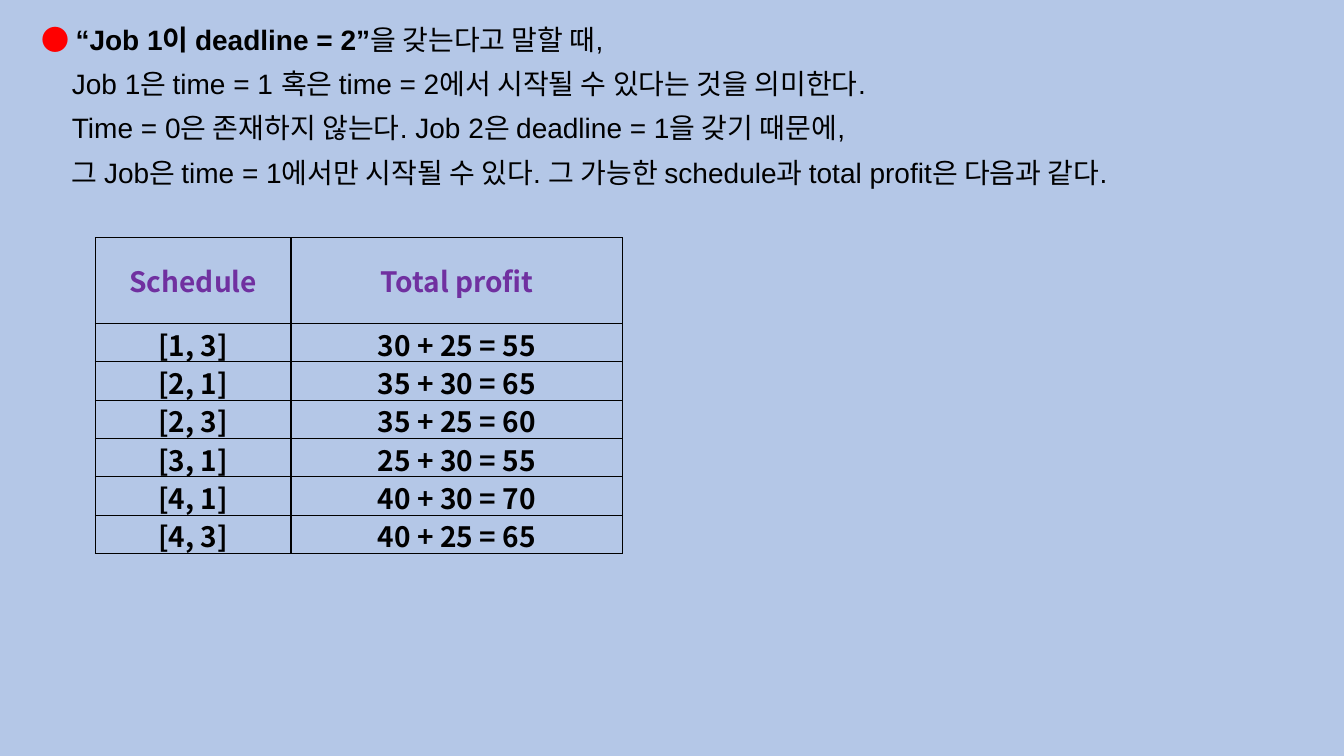
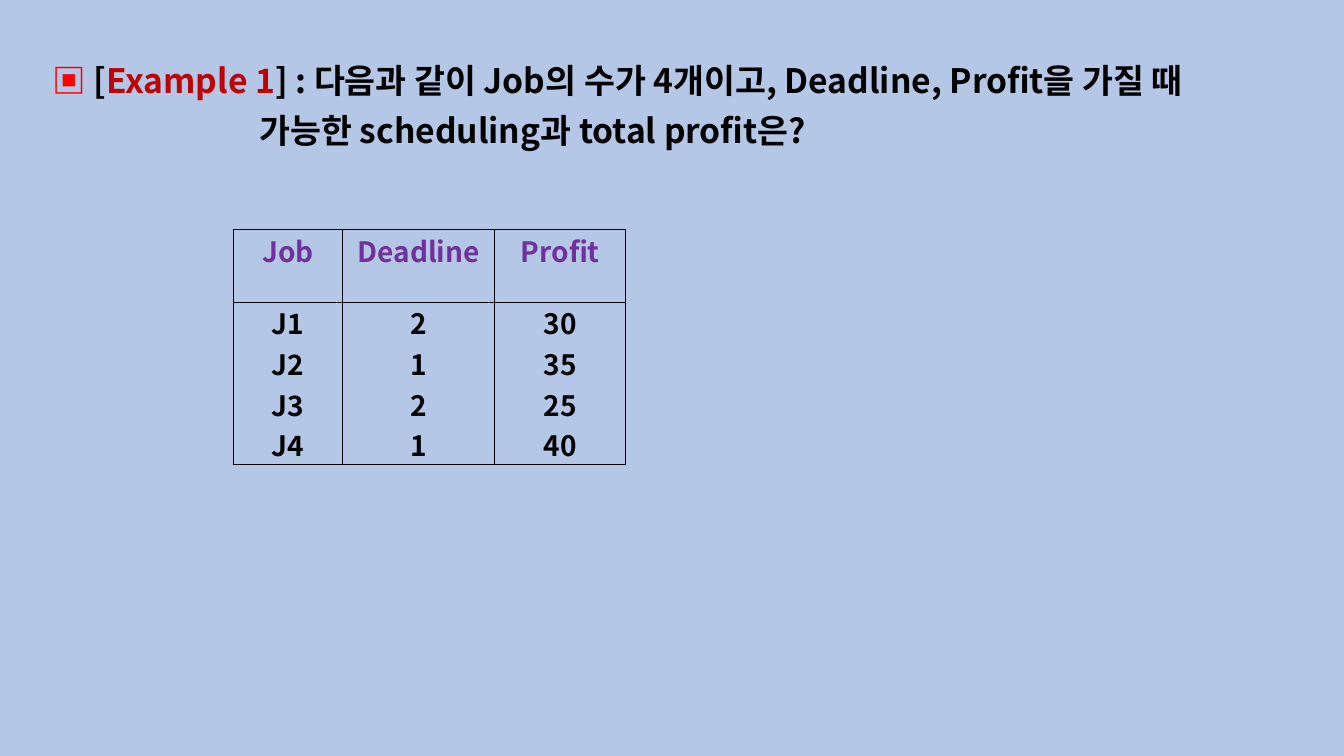
from dataclasses import dataclass

from lxml import etree
from pptx import Presentation
from pptx import util as u
from pptx.dml import color
from pptx.enum import text
from pptx.oxml import ns

# Shared look
SANS = "Noto Sans CJK KR"
LATIN = "Arial"
BACKGROUND, BLACK, RED, DARK_RED, PURPLE = "B4C7E7", "000000", "FF0000", "C00000", "7030A0"
BORDER_WIDTH = 1
TABLE_FLAGS = {"first_row": False, "horz_banding": False}
CELL_FORMAT = {"margin_left": u.Pt(5), "margin_right": u.Pt(5),
               "margin_top": u.Pt(0), "margin_bottom": u.Pt(0)}
BODY_SPACING = {"line_spacing": 0.9, "space_before": u.Pt(10)}


@dataclass(frozen=True)
class Span:
    content: str
    size: float = 20
    font: str = SANS
    colour: str = BLACK
    bold: bool = True


@dataclass(frozen=True)
class Line:
    spans: tuple[Span, ...]
    indent: float = 0


@dataclass(frozen=True)
class Body:
    left: float
    top: float
    width: float
    height: float
    lines: tuple[Line, ...]


@dataclass(frozen=True)
class Grid:
    left: float
    top: float
    columns: tuple[float, ...]
    header_height: float
    row_height: float
    header: tuple[str, ...]
    rows: tuple[tuple[str, ...], ...]
    header_anchor: text.MSO_ANCHOR = text.MSO_ANCHOR.TOP


def rgb(value: str) -> color.RGBColor:
    return color.RGBColor.from_string(value)


def apply(target, values: dict) -> None:
    for name, value in values.items():
        setattr(target, name, value)


def add_span(paragraph, span: Span) -> None:
    run = paragraph.add_run()
    run.text = span.content
    apply(run.font, {"size": u.Pt(span.size), "bold": span.bold, "name": span.font})
    run.font.color.rgb = rgb(span.colour)
    east_asian = etree.SubElement(run._r.get_or_add_rPr(), ns.qn("a:ea"))
    east_asian.set("typeface", SANS)


def next_paragraph(frame, index: int):
    return frame.add_paragraph() if index else frame.paragraphs[0]


def add_body(slide, body: Body) -> None:
    box = slide.shapes.add_textbox(u.Pt(body.left), u.Pt(body.top),
                                   u.Pt(body.width), u.Pt(body.height))
    box.text_frame.word_wrap = True
    for index, line in enumerate(body.lines):
        paragraph = next_paragraph(box.text_frame, index)
        apply(paragraph, BODY_SPACING)
        paragraph._p.get_or_add_pPr().set("marL", str(u.Pt(line.indent)))
        for span in line.spans:
            add_span(paragraph, span)


def add_borders(cell) -> None:
    properties = cell._tc.get_or_add_tcPr()
    for side in ("lnL", "lnR", "lnT", "lnB"):
        border = etree.SubElement(properties, ns.qn(f"a:{side}"), w=str(u.Pt(BORDER_WIDTH)))
        fill = etree.SubElement(border, ns.qn("a:solidFill"))
        etree.SubElement(fill, ns.qn("a:srgbClr"), val=BLACK)


def fill_cell(cell, content: str, colour: str, anchor: text.MSO_ANCHOR) -> None:
    apply(cell, {**CELL_FORMAT, "vertical_anchor": anchor})
    add_borders(cell)
    cell.fill.background()
    for index, entry in enumerate(content.split("\n")):
        paragraph = next_paragraph(cell.text_frame, index)
        paragraph.alignment = text.PP_ALIGN.CENTER
        add_span(paragraph, Span(entry, colour=colour))


def add_grid(slide, grid: Grid) -> None:
    all_rows = (grid.header, *grid.rows)
    heights = [grid.header_height] + [grid.row_height] * len(grid.rows)
    frame = slide.shapes.add_table(len(all_rows), len(grid.columns),
                                   u.Pt(grid.left), u.Pt(grid.top),
                                   u.Pt(sum(grid.columns)), u.Pt(sum(heights)))
    table = frame.table
    apply(table, TABLE_FLAGS)
    for column, width in zip(table.columns, grid.columns):
        column.width = u.Pt(width)
    for index, (row, height, entries) in enumerate(zip(table.rows, heights, all_rows)):
        row.height = u.Pt(height)
        colour = BLACK if index else PURPLE
        anchor = text.MSO_ANCHOR.TOP if index else grid.header_anchor
        for cell, entry in zip(row.cells, entries):
            fill_cell(cell, entry, colour, anchor)


def add_slide(presentation, body: Body, grid: Grid) -> None:
    slide = presentation.slides.add_slide(presentation.slide_layouts[6])
    slide.background.fill.solid()
    slide.background.fill.fore_color.rgb = rgb(BACKGROUND)
    add_body(slide, body)
    add_grid(slide, grid)


# Slide 1: possible schedules and their profits
def plain(content: str) -> Span:
    return Span(content, font=LATIN, bold=False)


EXPLANATION = (
    "Job 1은 time = 1 혹은 time = 2에서 시작될 수 있다는 것을 의미한다.",
    "Time = 0은 존재하지 않는다. Job 2은 deadline = 1을 갖기 때문에,",
    "그 Job은 time = 1에서만 시작될 수 있다. 그 가능한 schedule과 total profit은 다음과 같다.",
)
schedule_body = Body(22.3, 15.1, 914.4, 517.7, (
    Line((Span("● ", colour=RED), Span("“Job 1이 deadline = 2”", font=LATIN),
          plain("을 갖는다고 말할 때,"))),
    *(Line((plain(sentence),), indent=22) for sentence in EXPLANATION),
))
JOB_PROFITS = {1: 30, 2: 35, 3: 25, 4: 40}
SCHEDULES = ((1, 3), (2, 1), (2, 3), (3, 1), (4, 1), (4, 3))
schedule_grid = Grid(
    68.2, 169.9, (139.7, 236.9), 61.2, 27.4, ("Schedule", "Total profit"),
    tuple((f"[{first}, {second}]",
           f"{JOB_PROFITS[first]} + {JOB_PROFITS[second]} = "
           f"{JOB_PROFITS[first] + JOB_PROFITS[second]}")
          for first, second in SCHEDULES),
    text.MSO_ANCHOR.MIDDLE)

# Slide 2: the example's jobs
example_body = Body(30.2, 42.5, 897.8, 490.3, (
    Line((Span("▣", 24, colour=RED), Span(" [", 24), Span("Example 1", 24, colour=DARK_RED),
          Span("] : 다음과 같이 Job의 수가 4개이고, Deadline, Profit을 가질 때", 24))),
    Line((Span("가능한 scheduling과 total profit은?", 24),), indent=148),
))
job_grid = Grid(
    167, 164.2, (77.8, 108.7, 93.6), 51.8, 115.9, ("Job", "Deadline", "Profit"),
    (("J1\nJ2\nJ3\nJ4", "2\n1\n2\n1", "\n".join(map(str, JOB_PROFITS.values()))),))

# Build and save
presentation = Presentation()
apply(presentation, {"slide_width": u.Pt(960), "slide_height": u.Pt(540)})
add_slide(presentation, schedule_body, schedule_grid)
add_slide(presentation, example_body, job_grid)
presentation.save("out.pptx")
